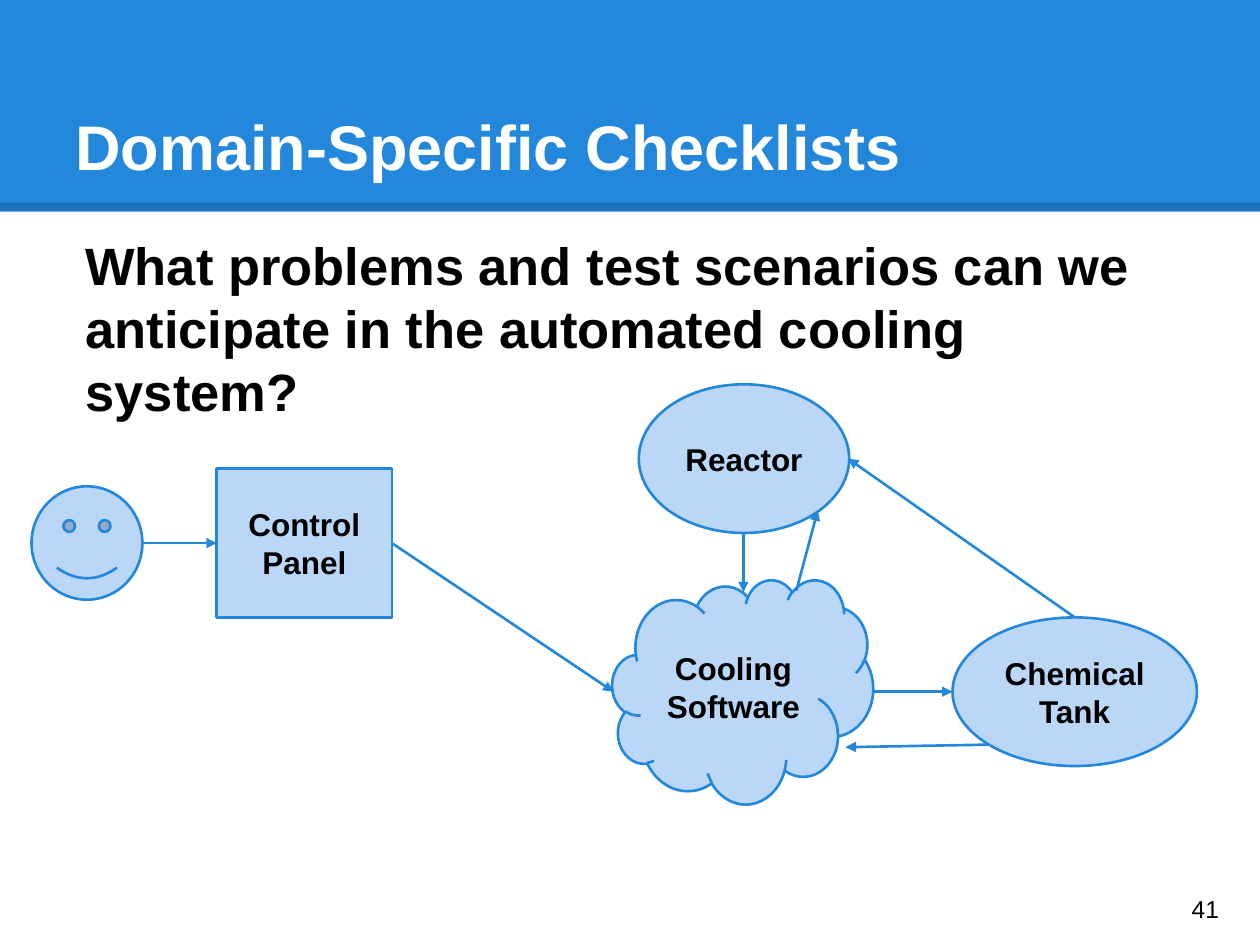
from typing import NamedTuple

from lxml.etree import SubElement
from pptx import Presentation
from pptx.dml.color import RGBColor
from pptx.enum.shapes import MSO_CONNECTOR, MSO_SHAPE
from pptx.enum.text import MSO_ANCHOR, PP_ALIGN
from pptx.oxml.ns import qn
from pptx.util import Pt

PX = 9144  # EMU per px, 100 px to the inch

BLUE = RGBColor(0x23, 0x88, 0xDB)
PALE = RGBColor(0xBB, 0xD7, 0xF8)
BLACK = RGBColor(0, 0, 0)
WHITE = RGBColor(0xFF, 0xFF, 0xFF)


class Box(NamedTuple):
    left: int
    top: int
    width: int
    height: int

    def emu(self) -> list[int]:
        return [v * PX for v in self]


class Node(NamedTuple):
    kind: MSO_SHAPE
    box: Box
    label: str = ""


class Arrow(NamedTuple):
    x1: int
    y1: int
    x2: int
    y2: int


NODES = [
    Node(MSO_SHAPE.RECTANGLE, Box(172, 372, 139, 118), "Control Panel"),
    Node(MSO_SHAPE.SMILEY_FACE, Box(25, 386, 88, 90)),
    Node(MSO_SHAPE.CLOUD, Box(486, 460, 207, 178), "Cooling Software"),
    Node(MSO_SHAPE.OVAL, Box(507, 305, 167, 118), "Reactor"),
    Node(MSO_SHAPE.OVAL, Box(756, 490, 194, 118), "Chemical Tank"),
]

ARROWS = [
    Arrow(112, 431, 172, 431),  # operator to panel
    Arrow(311, 431, 487, 549),  # panel to software
    Arrow(694, 549, 756, 549),  # software to tank
    Arrow(784, 591, 671, 593),  # tank to software
    Arrow(590, 423, 590, 470),  # reactor to software
    Arrow(632, 469, 649, 405),  # software to reactor
    Arrow(853, 490, 673, 364),  # tank to reactor
]


def write(shape, text: str, size: int, color: RGBColor = BLACK, bold: bool = True,
          anchor: MSO_ANCHOR = MSO_ANCHOR.MIDDLE,
          align: PP_ALIGN = PP_ALIGN.LEFT) -> None:
    tf = shape.text_frame
    tf.text = text
    tf.word_wrap = True
    tf.vertical_anchor = anchor
    tf.margin_left = tf.margin_right = tf.margin_top = tf.margin_bottom = 10 * PX
    p = tf.paragraphs[0]
    p.alignment = align
    font = p.runs[0].font
    font.name, font.size, font.bold = "Arial", Pt(size), bold
    font.color.rgb = color


def add_text(s, box: Box, text: str, size: int, **style) -> None:
    write(s.shapes.add_textbox(*box.emu()), text, size, **style)


def add_line(s, ends: Arrow, color: RGBColor, width: float):
    line = s.shapes.add_connector(MSO_CONNECTOR.STRAIGHT, *[v * PX for v in ends])
    line.line.color.rgb = color
    line.line.width = Pt(width)
    SubElement(line._element.spPr, qn("a:effectLst"))
    return line


def add_arrow(s, ends: Arrow) -> None:
    line = add_line(s, ends, BLUE, 1.5)
    SubElement(line.line._get_or_add_ln(), qn("a:tailEnd"),
               type="triangle", w="med", len="med")


def add_node(s, node: Node) -> None:
    sp = s.shapes.add_shape(node.kind, *node.box.emu())
    sp.shadow.inherit = False
    sp.fill.solid()
    sp.fill.fore_color.rgb = PALE
    sp.line.color.rgb = BLUE
    sp.line.width = Pt(1.5)
    if node.label:
        write(sp, node.label, 18, align=PP_ALIGN.CENTER)


def add_header(s) -> None:
    band = s.shapes.add_shape(MSO_SHAPE.RECTANGLE, *Box(0, 0, 1000, 168).emu())
    band.shadow.inherit = False
    band.fill.solid()
    band.fill.fore_color.rgb = BLUE
    band.line.fill.background()
    rule = add_line(s, Arrow(0, 164, 1000, 164), BLACK, 4.5)
    rgb = rule.line._get_or_add_ln().find(".//" + qn("a:srgbClr"))
    SubElement(rgb, qn("a:alpha"), val="15000")
    add_text(s, Box(50, 30, 900, 125), "Domain-Specific Checklists", 36,
             color=WHITE, anchor=MSO_ANCHOR.BOTTOM)


def main() -> None:
    prs = Presentation()
    prs.slide_width, prs.slide_height = 1000 * PX, 750 * PX
    s = prs.slides.add_slide(prs.slide_layouts[6])

    # Header and question
    add_header(s)
    add_text(s, Box(58, 175, 892, 512),
             "What problems and test scenarios can we anticipate in the "
             "automated cooling system?", 30, anchor=MSO_ANCHOR.TOP)

    # Cooling system diagram
    for node in NODES:
        add_node(s, node)
    for arrow in ARROWS:
        add_arrow(s, arrow)

    # Slide number
    add_text(s, Box(936, 693, 60, 57), "41", 14, bold=False)

    prs.save("out.pptx")


if __name__ == "__main__":
    main()
